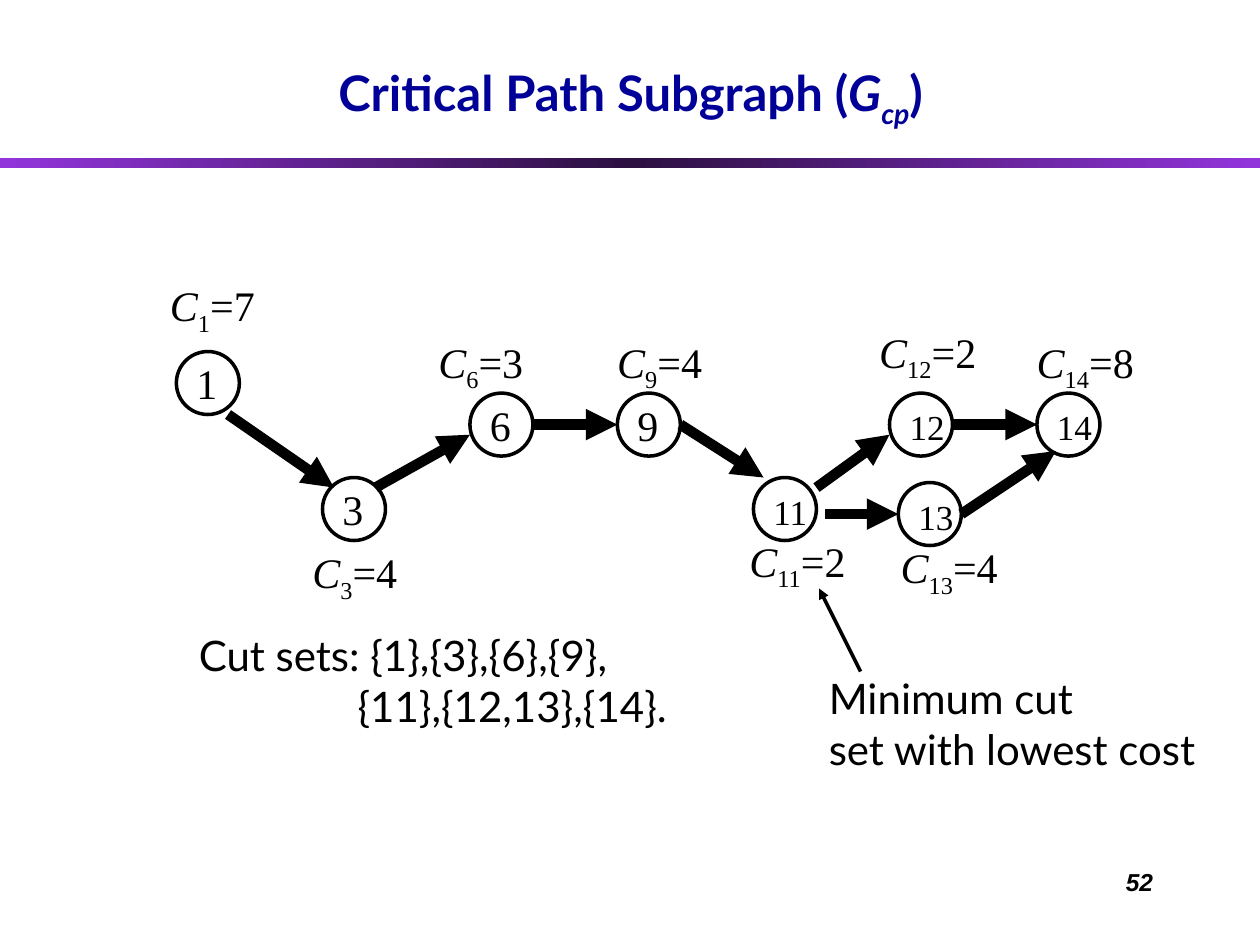
from lxml import etree
from pptx import Presentation
from pptx.dml.color import RGBColor
from pptx.enum.shapes import MSO_CONNECTOR, MSO_SHAPE
from pptx.enum.text import MSO_ANCHOR, MSO_AUTO_SIZE, PP_ALIGN
from pptx.oxml.ns import qn
from pptx.util import Inches, Pt

OVAL, RECT = MSO_SHAPE.OVAL, MSO_SHAPE.RECTANGLE
STRAIGHT = MSO_CONNECTOR.STRAIGHT
FIT, NO_FIT = MSO_AUTO_SIZE.SHAPE_TO_FIT_TEXT, MSO_AUTO_SIZE.NONE
LEFT, CENTER, RIGHT = PP_ALIGN.LEFT, PP_ALIGN.CENTER, PP_ALIGN.RIGHT

BLACK = RGBColor(0x00, 0x00, 0x00)
NAVY = RGBColor(0x00, 0x00, 0x99)
VIOLET = RGBColor(0x92, 0x34, 0xDB)
PLUM = RGBColor(0x2C, 0x10, 0x41)
SERIF, SANS = "Times New Roman", "Lato"

WIDTH, HEIGHT = 10, 7.5
NODE = 0.5  # diameter of a graph node

# Node: left and top of its circle, cost, left and top of its cost label
NODES = {
    1: (1.4, 2.79, 7, 1.25, 2.17),
    3: (2.56, 3.79, 4, 2.38, 4.29),
    6: (3.73, 3.12, 3, 3.38, 2.62),
    9: (4.9, 3.12, 4, 4.8, 2.62),
    11: (5.98, 3.79, 2, 5.85, 4.2),
    12: (7.06, 3.12, 2, 6.88, 2.54),
    13: (7.13, 3.83, 4, 7.05, 4.25),
    14: (8.23, 3.12, 8, 8.13, 2.62),
}
# Points on a node, measured from the corner of its bounding square
LEFT_MID, RIGHT_MID = (0, NODE / 2), (NODE, NODE / 2)
LOWER_LEFT = (0, 0.33)
EDGES = [
    (1, (0.41, 0.5), 3, (0.09, 0.08)),
    (3, (0.42, 0.08), 6, LOWER_LEFT),
    (6, RIGHT_MID, 9, LEFT_MID),
    (9, RIGHT_MID, 11, (0.08, 0)),
    (11, (0.5, 0.08), 12, LOWER_LEFT),
    (11, (0.57, 0.29), 13, LEFT_MID),
    (12, RIGHT_MID, 14, LEFT_MID),
    (13, RIGHT_MID, 14, (0.15, 0.46)),
]


def add_run(paragraph, text, font, size, color=BLACK, bold=False, italic=False,
            subscript=False):
    run = paragraph.add_run()
    run.text = text
    run.font.name, run.font.size = font, Pt(size)
    run.font.bold, run.font.italic = bold, italic
    run.font.color.rgb = color
    if subscript:
        run.font._element.set("baseline", "-25000")


def add_label(shapes, left, top, width, height, align=LEFT, wrap=False):
    """Add an empty text box and return its text frame."""
    box = shapes.add_textbox(*map(Inches, (left, top, width, height)))
    frame = box.text_frame
    frame.word_wrap = wrap
    frame.auto_size = NO_FIT if wrap else FIT
    frame.paragraphs[0].alignment = align
    return frame


def add_note(shapes, left, top, width, lines, indent=0):
    """Add a two-line remark, its second line indented."""
    frame = add_label(shapes, left, top, width, 0.9, wrap=True)
    add_run(frame.paragraphs[0], lines[0], SANS, 24)
    second = frame.add_paragraph()
    second._p.get_or_add_pPr().set("marL", str(Inches(indent)))
    add_run(second, lines[1], SANS, 24)


def add_arrow(shapes, start, end, weight):
    arrow = shapes.add_connector(STRAIGHT, *map(Inches, (*start, *end)))
    arrow.line.color.rgb = BLACK
    arrow.line.width = Pt(weight)
    line = arrow.line._get_or_add_ln()
    etree.SubElement(line, qn("a:tailEnd"), type="triangle")
    etree.SubElement(arrow._element.spPr, qn("a:effectLst"))


def add_node(shapes, number, left, top):
    group = shapes.add_group_shape()
    circle = group.shapes.add_shape(OVAL, *map(Inches, (left, top, NODE, NODE)))
    circle.shadow.inherit = False
    circle.fill.background()
    circle.line.color.rgb = BLACK
    circle.line.width = Pt(2)
    if number < 10:
        size, box = 24, (left + 0.06, top, 0.37, 0.5)
    else:
        size, box = 20, (left + 0.06, top + 0.05, 0.48, 0.43)
    frame = add_label(group.shapes, *box)
    add_run(frame.paragraphs[0], str(number), SERIF, size)


def add_cost(shapes, number, cost, left, top):
    frame = add_label(shapes, left, top, 0.89 if number < 10 else 1, 0.5)
    paragraph = frame.paragraphs[0]
    add_run(paragraph, "C", SERIF, 24, italic=True)
    add_run(paragraph, str(number), SERIF, 24, subscript=True)
    add_run(paragraph, f"={cost}", SERIF, 24)


def add_rule(shapes):
    """Add the gradient band under the title."""
    rule = shapes.add_shape(RECT, 0, Inches(HEIGHT / 6), Inches(WIDTH), Inches(0.08))
    rule.shadow.inherit = False
    rule.line.fill.background()
    rule.fill.gradient()
    rule.fill.gradient_angle = 0
    stops = rule._element.spPr.find(qn("a:gradFill")).find(qn("a:gsLst"))
    for stop in list(stops):
        stops.remove(stop)
    for percent, color in ((0, VIOLET), (50, PLUM), (100, VIOLET)):
        stop = etree.SubElement(stops, qn("a:gs"), pos=str(percent * 1000))
        etree.SubElement(stop, qn("a:srgbClr"), val=str(color))


def set_title(title):
    title.left, title.top = Inches(0.2), Inches(0.16)
    title.width, title.height = Inches(9.61), Inches(0.92)
    frame = title.text_frame
    frame.auto_size = NO_FIT
    frame.vertical_anchor = MSO_ANCHOR.BOTTOM
    paragraph = frame.paragraphs[0]
    paragraph.alignment = CENTER
    style = {"font": SANS, "size": 28, "color": NAVY, "bold": True}
    add_run(paragraph, "Critical Path Subgraph (", **style)
    add_run(paragraph, "G", italic=True, **style)
    add_run(paragraph, "cp", italic=True, subscript=True, **style)
    add_run(paragraph, ")", **style)


def main():
    prs = Presentation()
    prs.slide_width, prs.slide_height = Inches(WIDTH), Inches(HEIGHT)
    slide = prs.slides.add_slide(prs.slide_layouts[5])
    shapes = slide.shapes

    # Frame of the slide
    add_rule(shapes)
    set_title(shapes.title)
    page = add_label(shapes, 7.17, 6.83, 2.08, 0.5, RIGHT, wrap=True)
    add_run(page.paragraphs[0], "52", "Arial", 14, bold=True, italic=True)

    # Critical path graph
    for number, (left, top, cost, cost_left, cost_top) in NODES.items():
        add_node(shapes, number, left, top)
        add_cost(shapes, number, cost, cost_left, cost_top)
    for source, exit_point, target, entry_point in EDGES:
        start = [a + b for a, b in zip(NODES[source][:2], exit_point)]
        end = [a + b for a, b in zip(NODES[target][:2], entry_point)]
        add_arrow(shapes, start, end, 6)

    # Cut sets and the cheapest one
    add_note(shapes, 1.48, 4.95, 4.33,
             ("Cut sets: {1},{3},{6},{9},", "{11},{12,13},{14}."), indent=1.26)
    add_note(shapes, 6.48, 5.29, 3.2, ("Minimum cut", "set with lowest cost"))
    add_arrow(shapes, (6.83, 5.33), (6.5, 4.67), 2)

    prs.save("out.pptx")


if __name__ == "__main__":
    main()
